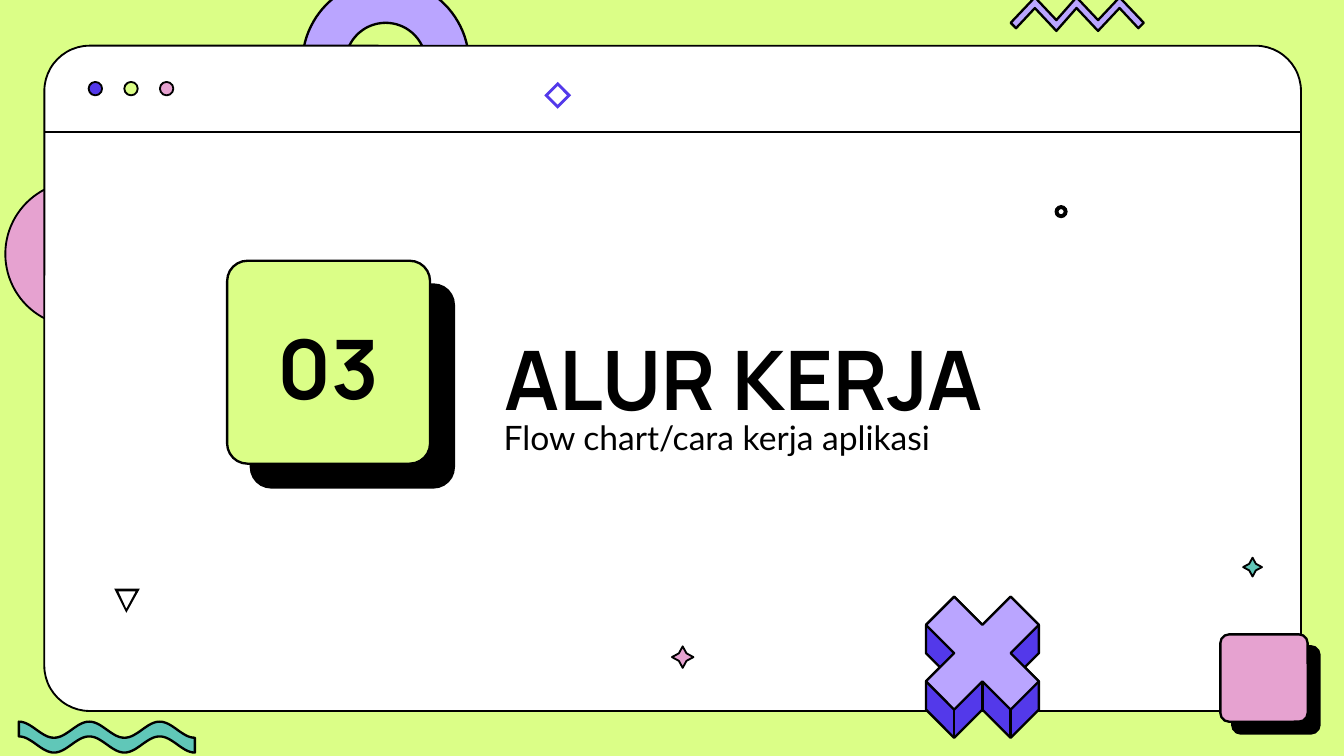
import math

import lxml.etree
import pptx
import pptx.dml.color
import pptx.enum.shapes
import pptx.enum.text
import pptx.oxml.ns
import pptx.util

Inches = pptx.util.Inches
SHAPE = pptx.enum.shapes.MSO_SHAPE
ANCHOR = pptx.enum.text.MSO_ANCHOR
ALIGN = pptx.enum.text.PP_ALIGN

COLORS = {
    "lime": "DBFE87",
    "white": "FFFFFF",
    "black": "000000",
    "lilac": "BAA5FF",
    "violet": "5339EA",
    "pink": "E6A2D0",
    "teal": "60C7B8",
}


def rgb(name):
    return pptx.dml.color.RGBColor.from_string(COLORS[name])


def paint(shape, fill, line_width):
    shape.shadow.inherit = False
    shape.fill.solid()
    shape.fill.fore_color.rgb = rgb(fill)
    if line_width:
        shape.line.color.rgb = rgb("black")
        shape.line.width = pptx.util.Pt(line_width)
    else:
        shape.line.fill.background()
    return shape


def add_preset(page, kind, left, top, width, height, fill, line_width=1, adjust=None):
    shape = page.shapes.add_shape(
        kind, Inches(left), Inches(top), Inches(width), Inches(height))
    if adjust is not None:
        shape.adjustments[0] = adjust
    return paint(shape, fill, line_width)


def add_outline(page, contours, fill, line_width=1.25):
    """Draw closed contours as one shape; a second contour cuts a hole."""
    builder = None
    for contour in contours:
        points = [(Inches(x), Inches(y)) for x, y in contour]
        if builder is None:
            builder = page.shapes.build_freeform(*points[0], scale=1.0)
        else:
            builder.move_to(*points[0])
        builder.add_line_segments(points[1:], close=True)
    return paint(builder.convert_to_shape(), fill, line_width)


def add_line(page, start, end, width):
    line = page.shapes.add_connector(
        pptx.enum.shapes.MSO_CONNECTOR.STRAIGHT, *map(Inches, start + end))
    line.line.color.rgb = rgb("black")
    line.line.width = pptx.util.Pt(width)
    properties = line._element.spPr
    lxml.etree.SubElement(properties, pptx.oxml.ns.qn("a:effectLst"))


def add_card(page, left, top, size, fill, shadow_points, adjust):
    """Draw a rounded square with a solid black shadow at 45 degrees."""
    card = add_preset(page, SHAPE.ROUNDED_RECTANGLE, left, top, size, size,
                      fill, 1.25, adjust)
    qn = pptx.oxml.ns.qn
    effects = card._element.spPr.find(qn("a:effectLst"))
    shadow = lxml.etree.SubElement(
        effects, qn("a:outerShdw"), blurRad="0", dir="2700000",
        dist=str(int(pptx.util.Pt(shadow_points))), algn="bl", rotWithShape="0")
    lxml.etree.SubElement(shadow, qn("a:srgbClr"), val=COLORS["black"])


def write(box, text, font, size, bold=False, align=ALIGN.LEFT, anchor=ANCHOR.TOP):
    frame = box.text_frame
    frame.word_wrap = True
    frame.auto_size = pptx.enum.text.MSO_AUTO_SIZE.NONE
    frame.vertical_anchor = anchor
    frame.text = text
    para = frame.paragraphs[0]
    para.alignment = align
    para.line_spacing = 0.9
    para.space_before = pptx.util.Pt(0)
    para.font.name = font
    para.font.size = pptx.util.Pt(size)
    para.font.bold = bold
    para.font.color.rgb = rgb("black")


def add_text(page, left, top, width, height, text, **style):
    box = page.shapes.add_textbox(
        Inches(left), Inches(top), Inches(width), Inches(height))
    write(box, text, **style)


def place_title(page, text):
    title = page.shapes.title
    title.left, title.top = Inches(3.65), Inches(1.79)
    title.width, title.height = Inches(4.33), Inches(1.45)
    write(title, text, "Manrope", 44, bold=True, anchor=ANCHOR.BOTTOM)
    page.shapes._spTree.append(title._element)  # in front of the window


def arc(x, y, radius, start, end, steps=48):
    """Points along a circle, with angles in degrees clockwise from the right."""
    angles = [math.radians(start + (end - start) * i / steps) for i in range(steps + 1)]
    return [(x + radius * math.cos(a), y + radius * math.sin(a)) for a in angles]


def add_backdrop(page):
    arch = (arc(2.87, 0.47, 0.62, 180, 360) + arc(3.33, 0.47, 0.16, 0, 180)
            + arc(2.87, 0.47, 0.3, 360, 180) + arc(2.41, 0.47, 0.16, 0, 180))
    add_outline(page, [arch], "lilac")
    add_outline(page, [arc(0.58, 1.89, 0.54, 90, 270)], "pink", 1)


def add_window(page):
    add_preset(page, SHAPE.ROUNDED_RECTANGLE, 0.33, 0.34, 9.35, 4.95, "white",
               adjust=0.068)
    add_line(page, (0.33, 0.98), (9.67, 0.98), 1)


def add_buttons(page):
    for index, color in enumerate(("violet", "lime", "pink")):
        add_preset(page, SHAPE.OVAL, 0.66 + 0.265 * index, 0.61, 0.1, 0.1, color)


def add_cross(page):
    """Draw the extruded X on a grid of equal steps."""
    def grid(*cells):
        return [(6.89 + 0.21 * column, 4.44 + 0.21 * row) for column, row in cells]

    top = [(0, 1), (1, 0), (2, 1), (3, 0), (4, 1)]
    body = top + [(4, 2), (3.5, 2.5), (4, 3), (4, 4), (3, 5), (2, 4), (1, 5),
                  (0, 4), (0, 3), (0.5, 2.5), (0, 2)]
    face = top + [(3, 2), (4, 3), (3, 4), (2, 3), (1, 4), (0, 3), (1, 2)]
    add_outline(page, [grid(*body)], "violet")
    add_outline(page, [grid(*face)], "lilac")
    for column, row in ((3, 4), (1, 4), (2, 3)):
        add_line(page, *grid((column, row), (column, row + 1)), 1.25)


def add_ornaments(page):
    add_preset(page, SHAPE.STAR_4_POINT, 5, 4.81, 0.16, 0.16, "pink", adjust=0.25)
    add_preset(page, SHAPE.STAR_4_POINT, 9.25, 4.15, 0.14, 0.14, "teal", adjust=0.25)
    add_outline(page, [[(0.85, 4.38), (1.04, 4.38), (0.94, 4.56)],
                       [(0.88, 4.4), (1.01, 4.4), (0.94, 4.53)]], "black", 0)
    add_outline(page, [arc(4.15, 0.71, radius, 0, 270, 3) for radius in (0.1, 0.07)],
                "violet", 0)
    add_preset(page, SHAPE.DONUT, 7.85, 1.53, 0.09, 0.09, "black", 0.5, 0.25)


def add_wave(page):
    steps = 80
    crest = [(0.14 + 1.31 * i / steps, 5.43 - 0.06 * math.cos(5 * math.pi * i / steps))
             for i in range(steps + 1)]
    trough = [(x, y + 0.11) for x, y in reversed(crest)]
    add_outline(page, [crest + trough], "teal")


def add_zigzag(page):
    columns = (7.7, 7.86, 8.01, 8.17, 8.33)
    upper = [(x, (-0.02, 0.15)[i % 2]) for i, x in enumerate(columns)]
    lower = [(x, y + 0.08) for x, y in reversed(upper)]
    add_outline(page, [[(7.52, 0.17)] + upper + [(8.51, 0.17), (8.47, 0.21)]
                       + lower + [(7.56, 0.21)]], "lilac")


def main():
    deck = pptx.Presentation()
    deck.slide_width = Inches(10)
    deck.slide_height = deck.slide_width * 9 // 16
    page = deck.slides.add_slide(deck.slide_layouts[5])
    page.background.fill.solid()
    page.background.fill.fore_color.rgb = rgb("lime")

    add_backdrop(page)
    add_window(page)
    add_card(page, 1.69, 1.94, 1.51, "lime", 18, 0.1)
    place_title(page, "ALUR KERJA")
    add_text(page, 3.65, 3.09, 4.33, 0.47, "Flow chart/cara kerja aplikasi",
             font="Lato", size=18)
    add_text(page, 1.69, 2.38, 1.51, 0.79, "03", font="Manrope", size=44,
             bold=True, align=ALIGN.CENTER, anchor=ANCHOR.MIDDLE)
    add_ornaments(page)
    add_cross(page)
    add_card(page, 9.08, 4.72, 0.65, "pink", 9, 0.1)
    add_buttons(page)
    add_wave(page)
    add_zigzag(page)
    deck.save("out.pptx")


if __name__ == "__main__":
    main()
